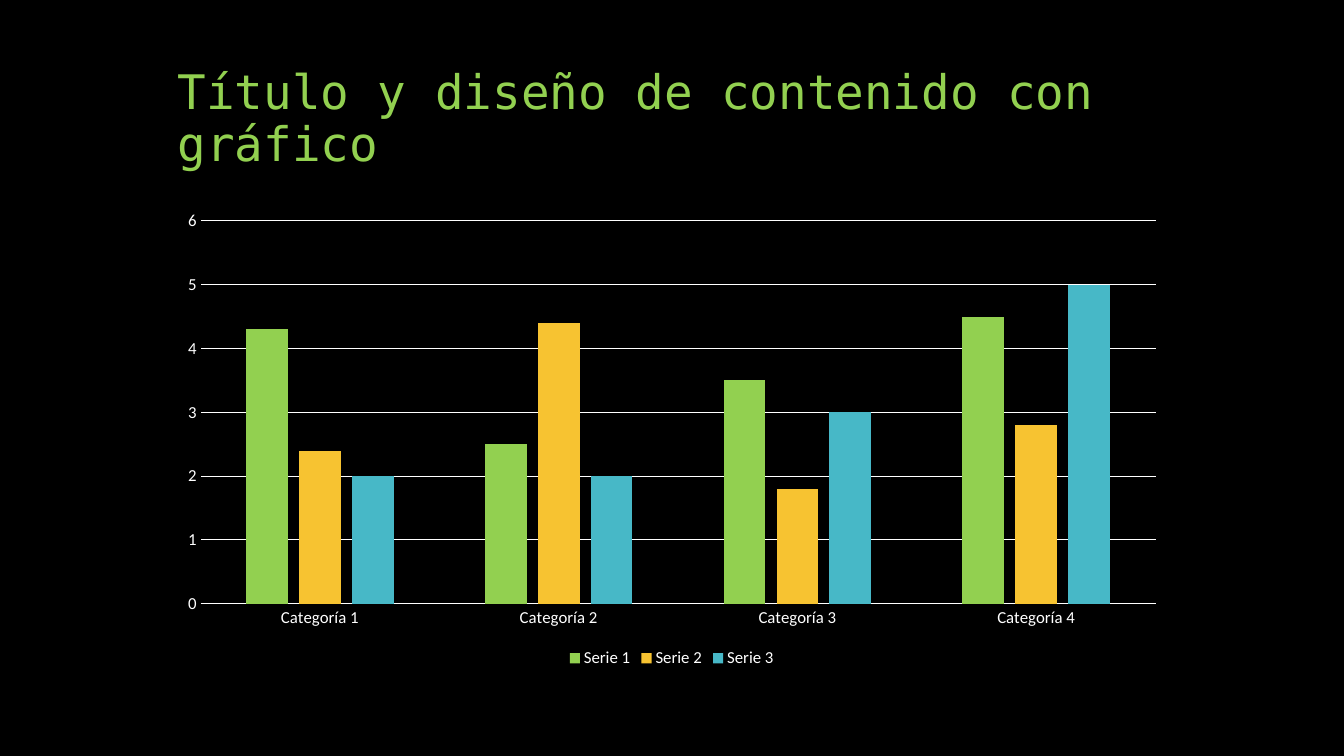
from dataclasses import dataclass

from pptx import Presentation
from pptx.chart.chart import Chart
from pptx.chart.data import CategoryChartData
from pptx.dml.color import RGBColor
from pptx.enum.chart import XL_CHART_TYPE, XL_LEGEND_POSITION, XL_TICK_MARK
from pptx.enum.text import MSO_ANCHOR
from pptx.dml.line import LineFormat
from pptx.slide import Slide
from pptx.text.text import Font
from pptx.util import Cm, Pt


@dataclass(frozen=True)
class Theme:
    background: RGBColor = RGBColor(0x00, 0x00, 0x00)
    light: RGBColor = RGBColor(0xFF, 0xFF, 0xFF)
    green: RGBColor = RGBColor(0x92, 0xD0, 0x50)
    yellow: RGBColor = RGBColor(0xF7, 0xC3, 0x31)
    blue: RGBColor = RGBColor(0x47, 0xB8, 0xC7)
    title_font: str = "DejaVu Sans Mono"
    chart_font: str = "Calibri"
    title_size: Pt = Pt(34)
    chart_size: Pt = Pt(12)
    line_width: Pt = Pt(0.75)


@dataclass(frozen=True)
class Series:
    name: str
    values: tuple[float, ...]
    color: RGBColor


THEME = Theme()
LEFT, WIDTH = Cm(4.23), Cm(25.4)
CATEGORIES = [f"Categoría {number}" for number in range(1, 5)]
SERIES = [
    Series("Serie 1", (4.3, 2.5, 3.5, 4.5), THEME.green),
    Series("Serie 2", (2.4, 4.4, 1.8, 2.8), THEME.yellow),
    Series("Serie 3", (2, 2, 3, 5), THEME.blue),
]


def style_font(font: Font, name: str, size: Pt, color: RGBColor) -> None:
    font.name = name
    font.size = size
    font.color.rgb = color


def style_line(line: LineFormat) -> None:
    line.color.rgb = THEME.light
    line.width = THEME.line_width


def add_title(slide: Slide, wording: str) -> None:
    frame = slide.shapes.add_textbox(LEFT, Cm(1.27), WIDTH, Cm(3.18)).text_frame
    frame.word_wrap = True
    frame.vertical_anchor = MSO_ANCHOR.BOTTOM
    frame.text = wording
    paragraph = frame.paragraphs[0]
    paragraph.line_spacing = 0.9
    style_font(paragraph.runs[0].font, THEME.title_font, THEME.title_size, THEME.green)


def style_axes(chart: Chart) -> None:
    for axis in (chart.category_axis, chart.value_axis):
        axis.major_tick_mark = XL_TICK_MARK.NONE
        axis.minor_tick_mark = XL_TICK_MARK.NONE
        style_font(axis.tick_labels.font, THEME.chart_font, THEME.chart_size, THEME.light)
    style_line(chart.category_axis.format.line)

    scale = chart.value_axis
    scale.minimum_scale, scale.maximum_scale, scale.major_unit = 0, 6, 1
    scale.format.line.fill.background()
    style_line(scale.major_gridlines.format.line)


def add_column_chart(slide: Slide, series_list: list[Series]) -> None:
    data = CategoryChartData(number_format="General")
    data.categories = CATEGORIES
    for series in series_list:
        data.add_series(series.name, series.values)
    chart = slide.shapes.add_chart(
        XL_CHART_TYPE.COLUMN_CLUSTERED, LEFT, Cm(5.08), WIDTH, Cm(11.86), data
    ).chart
    chart.has_title = False
    style_font(chart.font, THEME.chart_font, THEME.chart_size, THEME.light)
    style_axes(chart)

    # Columns
    columns = chart.plots[0]
    columns.gap_width = 219
    columns.overlap = -27
    columns.vary_by_categories = False
    for column, series in zip(columns.series, series_list):
        column.format.fill.solid()
        column.format.fill.fore_color.rgb = series.color

    # Legend
    chart.has_legend = True
    chart.legend.position = XL_LEGEND_POSITION.BOTTOM
    chart.legend.include_in_layout = False
    style_font(chart.legend.font, THEME.chart_font, THEME.chart_size, THEME.light)


def main() -> None:
    presentation = Presentation()
    presentation.slide_width, presentation.slide_height = Cm(33.87), Cm(19.05)
    slide = presentation.slides.add_slide(presentation.slide_layouts[6])
    slide.background.fill.solid()
    slide.background.fill.fore_color.rgb = THEME.background

    add_title(slide, "Título y diseño de contenido con gráfico")
    add_column_chart(slide, SERIES)
    presentation.save("out.pptx")


if __name__ == "__main__":
    main()
